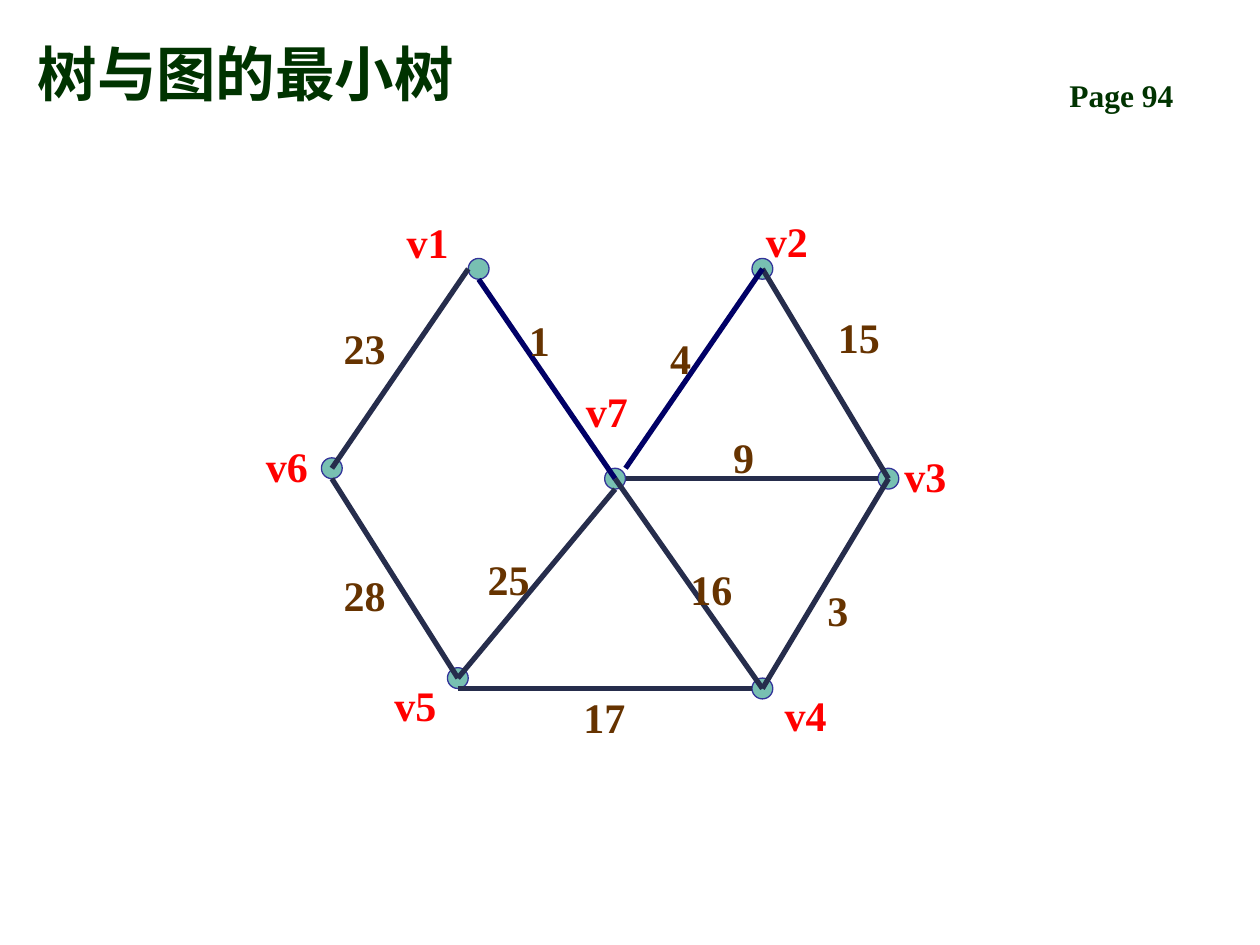
from dataclasses import dataclass

from lxml import etree
from pptx import Presentation
from pptx.dml.color import RGBColor
from pptx.enum.shapes import MSO_CONNECTOR, MSO_SHAPE
from pptx.enum.text import MSO_ANCHOR
from pptx.oxml.ns import qn
from pptx.util import Cm, Pt

LINE = MSO_CONNECTOR.STRAIGHT
OVAL = MSO_SHAPE.OVAL
TOP = MSO_ANCHOR.TOP
BOTTOM = MSO_ANCHOR.BOTTOM


@dataclass(frozen=True)
class Theme:
    font: str = "Times New Roman"
    head: str = "003300"
    name: str = "FF0000"
    cost: str = "663300"
    dot: str = "78C0B2"
    rim: str = "333399"
    edge: str = "262D4C"
    tree: str = "000066"
    title: int = 34
    page: int = 18
    label: int = 24


THEME = Theme()
RADIUS = 0.21

# Node: centre x, y, then label left, top (cm)
NODES = {
    "v1": (9.65, 5.42, 7.95, 4.14),
    "v2": (15.37, 5.42, 15.19, 4.11),
    "v3": (17.91, 9.65, 17.98, 8.86),
    "v4": (15.37, 13.88, 15.57, 13.67),
    "v5": (9.23, 13.67, 7.7, 13.46),
    "v6": (6.69, 9.44, 5.11, 8.66),
    "v7": (12.4, 9.65, 11.56, 7.54),
}

# Where a line meets its dot, in radii from the centre
MID, LEFT, RIGHT, LOW, CORNER = (0, 0), (-1, 0), (1, 0), (0, 1), (1, -1)

# Edge: node and joint at each end, weight, label left, top (cm), colour
EDGES = [
    ("v1", LEFT, "v6", MID, 23, 6.68, 6.27, THEME.edge),
    ("v2", MID, "v3", MID, 15, 16.64, 6.05, THEME.edge),
    ("v1", LOW, "v7", MID, 1, 10.41, 6.12, THEME.tree),
    ("v2", MID, "v7", CORNER, 4, 13.26, 6.48, THEME.tree),
    ("v7", RIGHT, "v3", LEFT, 9, 14.53, 8.46, THEME.edge),
    ("v6", LOW, "v5", MID, 28, 6.68, 11.25, THEME.edge),
    ("v7", LOW, "v5", MID, 25, 9.58, 10.92, THEME.edge),
    ("v7", MID, "v4", MID, 16, 13.67, 11.13, THEME.edge),
    ("v5", LOW, "v4", LEFT, 17, 11.51, 13.72, THEME.edge),
    ("v3", MID, "v4", MID, 3, 16.43, 11.56, THEME.edge),
]


def rgb(code):
    return RGBColor.from_string(code)


def add_text(slide, text, area, size, color, anchor=TOP):
    box = slide.shapes.add_textbox(*map(Cm, area))
    frame = box.text_frame
    frame.word_wrap = True
    frame.vertical_anchor = anchor
    if anchor == TOP:
        frame.margin_top = Cm(0.23)
    frame.text = text
    font = frame.paragraphs[0].runs[0].font
    font.name = THEME.font
    font.size = Pt(size)
    font.bold = True
    font.color.rgb = rgb(color)


def add_label(slide, text, left, top, color):
    add_text(slide, text, (left, top, 1.48, 1.27), THEME.label, color)


def add_dot(slide, x, y):
    side = Cm(2 * RADIUS)
    dot = slide.shapes.add_shape(OVAL, Cm(x - RADIUS), Cm(y - RADIUS), side, side)
    dot.shadow.inherit = False
    dot.fill.solid()
    dot.fill.fore_color.rgb = rgb(THEME.dot)
    dot.line.color.rgb = rgb(THEME.rim)
    dot.line.width = Pt(0.75)


def find_end(node, joint):
    x, y = NODES[node][:2]
    return Cm(x + joint[0] * RADIUS), Cm(y + joint[1] * RADIUS)


def add_edge(slide, start, end, color):
    edge = slide.shapes.add_connector(LINE, *start, *end)
    edge.line.color.rgb = rgb(color)
    edge.line.width = Pt(3)
    etree.SubElement(edge._element.spPr, qn("a:effectLst"))


def main():
    deck = Presentation()
    deck.slide_width, deck.slide_height = Cm(25.4), Cm(19.05)
    slide = deck.slides.add_slide(deck.slide_layouts[6])

    # Heading and page number
    add_text(slide, "Page 94", (21.31, 1.3, 3.61, 1.02), THEME.page, THEME.head)
    add_text(slide, "树与图的最小树", (0.51, 0.33, 20.4, 1.98),
             THEME.title, THEME.head, BOTTOM)

    # Graph: dots below, lines above
    for x, y, *_ in NODES.values():
        add_dot(slide, x, y)
    for a, out, b, into, *_, color in EDGES:
        add_edge(slide, find_end(a, out), find_end(b, into), color)

    # Node names and edge weights
    for name, (*_, left, top) in NODES.items():
        add_label(slide, name, left, top, THEME.name)
    for *_, cost, left, top, _ in EDGES:
        add_label(slide, str(cost), left, top, THEME.cost)

    deck.save("out.pptx")


if __name__ == "__main__":
    main()
